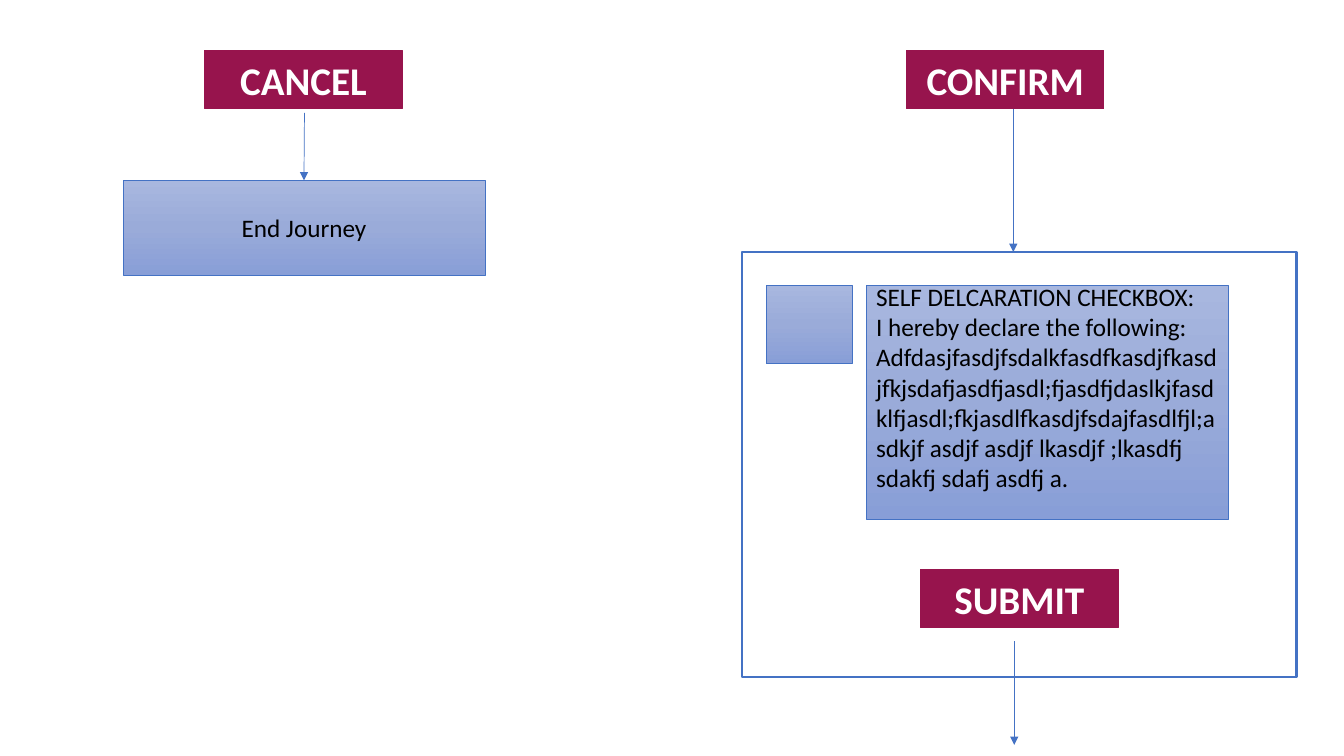
from copy import deepcopy

from lxml import etree
from pptx import Presentation
from pptx import util as u
from pptx.dml.color import RGBColor
from pptx.enum import shapes, text
from pptx.oxml.ns import qn

BLUE, PLUM = "4472C4", "97144D"
SHADES = ["A8B7DF", "9AABD9", "889ED7"]
DECLARE = [
    "SELF DELCARATION CHECKBOX:",
    "I hereby declare the following:",
    "Adfdasjfasdjfsdalkfasdfkasdjfkasdjfkjsdafjasdfjasdl;fjasdfjdaslkjfasd"
    "klfjasdl;fkjasdlfkasdjfsdajfasdlfjl;asdkjf asdjf asdjf lkasdjf ;lkasdfj "
    "sdakfj sdafj asdfj a.",
]


def color(code):
    return RGBColor.from_string(code)


def add_rect(slide, x, y, w, h, edge, width):
    rect = slide.shapes.add_shape(
        shapes.MSO_SHAPE.RECTANGLE, *map(u.Inches, (x, y, w, h)))
    rect.shadow.inherit = False
    rect.fill.background()
    rect.line.color.rgb = color(edge)
    rect.line.width = u.Pt(width)
    return rect


def write(shape, lines, size, ink, align, anchor, bold=False, gap=1.0):
    frame = shape.text_frame
    frame.word_wrap = True
    frame.vertical_anchor = anchor
    frame.text = "\n".join(lines)
    for para in frame.paragraphs:
        para.alignment = align
        para.line_spacing = gap
        para.font.name = "Calibri"
        para.font.size = u.Pt(size)
        para.font.bold = bold
        para.font.color.rgb = color(ink)


def add_button(slide, x, y, label):
    rect = add_rect(slide, x, y, 1.96, 0.58, PLUM, 0.75)
    rect.fill.solid()
    rect.fill.fore_color.rgb = color(PLUM)
    write(rect, [label], 28, "FFFFFF", text.PP_ALIGN.CENTER,
          text.MSO_ANCHOR.BOTTOM, bold=True, gap=0.9)


def add_panel(slide, x, y, w, h, lines=(), align=text.PP_ALIGN.CENTER):
    rect = add_rect(slide, x, y, w, h, BLUE, 0.5)
    rect.fill.gradient()
    rect.fill.gradient_angle = 270
    # A third stop in the middle of the gradient
    first = rect._element.spPr.find(".//" + qn("a:gs"))
    first.addnext(deepcopy(first))
    for i, (stop, shade) in enumerate(zip(rect.fill.gradient_stops, SHADES)):
        stop.position = i / 2
        stop.color.rgb = color(shade)
    if lines:
        write(rect, lines, 18, "000000", align, text.MSO_ANCHOR.MIDDLE)
    return rect


def add_arrow(slide, x, top, end):
    arrow = slide.shapes.add_connector(
        shapes.MSO_CONNECTOR.STRAIGHT, *map(u.Inches, (x, top, x, end)))
    arrow.line.color.rgb = color(BLUE)
    arrow.line.width = u.Pt(0.5)
    line = arrow.line._get_or_add_ln()
    etree.SubElement(line, qn("a:tailEnd"), type="triangle")
    etree.SubElement(arrow._element.spPr, qn("a:effectLst"))
    return arrow


def main():
    deck = Presentation()
    deck.slide_width, deck.slide_height = u.Inches(13.33), u.Inches(7.5)
    slide = deck.slides.add_slide(deck.slide_layouts[6])

    # Cancel branch
    add_button(slide, 2.03, 0.5, "CANCEL")
    finish = add_panel(slide, 1.22, 1.79, 3.59, 0.94, ["End Journey"])
    add_arrow(slide, 3.02, 1.12, 1.79).end_connect(finish, 0)

    # Confirm branch: checkbox and declaration
    add_button(slide, 8.99, 0.5, "CONFIRM")
    add_arrow(slide, 10.05, 1.08, 2.5)
    add_panel(slide, 7.6, 2.83, 0.85, 0.78)
    note = add_panel(slide, 8.59, 2.83, 3.59, 2.32, DECLARE,
                     text.PP_ALIGN.LEFT)
    note.text_frame.margin_bottom = u.Inches(0.35)

    # Frame and submit step
    add_rect(slide, 7.36, 2.5, 5.5, 4.22, BLUE, 1.5)
    add_button(slide, 9.13, 5.65, "SUBMIT")
    add_arrow(slide, 10.06, 6.36, 7.39)

    deck.save("out.pptx")


if __name__ == "__main__":
    main()
